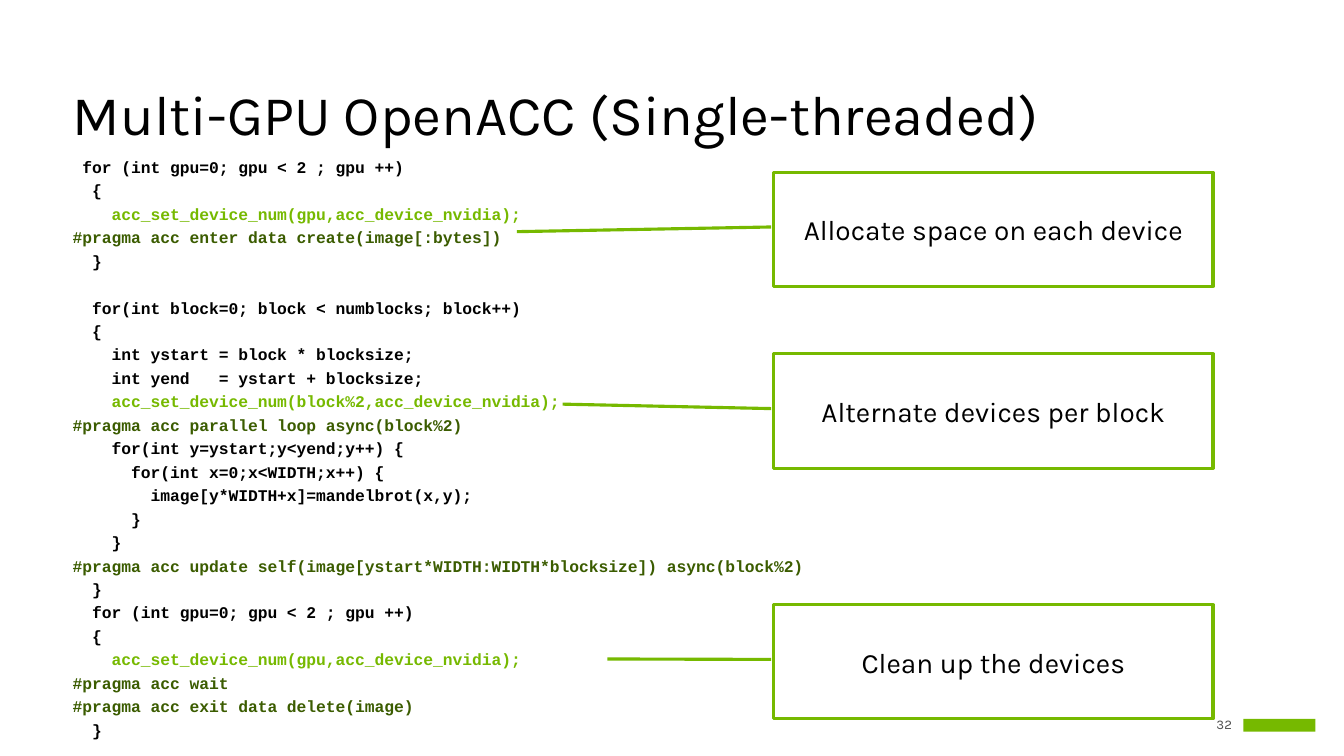
from dataclasses import dataclass

from pptx import Presentation
from pptx.dml.color import RGBColor
from pptx.enum.shapes import MSO_SHAPE
from pptx.enum.text import MSO_ANCHOR, MSO_AUTO_SIZE, PP_ALIGN
from pptx.util import Cm, Pt

LEFT, CENTER, RIGHT = PP_ALIGN.LEFT, PP_ALIGN.CENTER, PP_ALIGN.RIGHT
MIDDLE, BOTTOM = MSO_ANCHOR.MIDDLE, MSO_ANCHOR.BOTTOM
NO_AUTOFIT = MSO_AUTO_SIZE.NONE
CALLOUT, RECTANGLE = MSO_SHAPE.LINE_CALLOUT_1, MSO_SHAPE.RECTANGLE
TITLE_ONLY = 5


@dataclass(frozen=True)
class Theme:
    """Colours, fonts and type sizes of the slide."""

    black: RGBColor = RGBColor(0x00, 0x00, 0x00)
    white: RGBColor = RGBColor(0xFF, 0xFF, 0xFF)
    gray: RGBColor = RGBColor(0x50, 0x50, 0x50)
    green: RGBColor = RGBColor(0x76, 0xB9, 0x00)
    dark_green: RGBColor = RGBColor(0x3B, 0x5C, 0x00)
    sans: str = "Karla"
    mono: str = "Courier New"
    title_size: Pt = Pt(36)
    label_size: Pt = Pt(18)
    code_size: Pt = Pt(10.5)
    number_size: Pt = Pt(8.5)
    code_pitch: Pt = Pt(15.08)


THEME = Theme()

CODE = """\
 for (int gpu=0; gpu < 2 ; gpu ++)
  {
    acc_set_device_num(gpu,acc_device_nvidia);
#pragma acc enter data create(image[:bytes])
  }

  for(int block=0; block < numblocks; block++)
  {
    int ystart = block * blocksize;
    int yend   = ystart + blocksize;
    acc_set_device_num(block%2,acc_device_nvidia);
#pragma acc parallel loop async(block%2)
    for(int y=ystart;y<yend;y++) {
      for(int x=0;x<WIDTH;x++) {
        image[y*WIDTH+x]=mandelbrot(x,y);
      }
    }
#pragma acc update self(image[ystart*WIDTH:WIDTH*blocksize]) async(block%2)
  }
  for (int gpu=0; gpu < 2 ; gpu ++)
  {
    acc_set_device_num(gpu,acc_device_nvidia);
#pragma acc wait
#pragma acc exit data delete(image)
  }"""

CALLOUTS = [
    ("Allocate space on each device", 3.91, 0.52, -0.585),
    ("Alternate devices per block", 8.03, 0.44, -0.481),
    ("Clean up the devices", 13.72, 0.475, -0.379),
]


def apply_format(target, values):
    """Set each attribute named in a dict of format values."""
    for name, value in values.items():
        setattr(target, name, value)


def write_span(para, text, color, **font_format):
    """Add one run of text with its font and colour."""
    span = para.add_run()
    span.text = text
    apply_format(span.font, font_format)
    span.font.color.rgb = color


def add_title(page, text):
    """Place the title placeholder and write its text."""
    title = page.shapes.title
    apply_format(title, {"left": Cm(1.4), "top": Cm(1.83), "width": Cm(27.71), "height": Cm(1.65)})
    frame = title.text_frame
    apply_format(frame, {"auto_size": NO_AUTOFIT, "word_wrap": True, "vertical_anchor": BOTTOM})
    para = frame.paragraphs[0]
    apply_format(para, {"alignment": LEFT, "line_spacing": 0.9})
    write_span(para, text, THEME.black, name=THEME.sans, size=THEME.title_size)


def code_color(line):
    """Return the highlight colour of a line of code."""
    if line.startswith("#pragma"):
        return THEME.dark_green
    return THEME.green if "acc_set_device_num" in line else THEME.black


def add_code(page, code):
    """Write the code listing, with a spacing gap between its blocks."""
    box = page.shapes.add_textbox(Cm(1.4), Cm(3.35), Cm(25.43), Cm(13.67))
    frame = box.text_frame
    frame.word_wrap = True
    para = frame.paragraphs[0]
    for block_index, block in enumerate(code.split("\n\n")):
        for line_index, line in enumerate(block.split("\n")):
            if block_index or line_index:
                para = frame.add_paragraph()
            starts_block = block_index and not line_index
            gap = THEME.code_pitch if starts_block else Pt(0)
            apply_format(para, {"line_spacing": THEME.code_pitch, "space_before": gap})
            write_span(para, line, code_color(line), name=THEME.mono, size=THEME.code_size, bold=True)


def add_callout(page, text, top, tip_y, tip_x):
    """Add a bordered callout whose line reaches the code it explains."""
    box = page.shapes.add_shape(CALLOUT, Cm(17.55), Cm(top), Cm(9.96), Cm(2.59))
    for index, value in enumerate((0.479, -0.006, tip_y, tip_x)):
        box.adjustments[index] = value
    box.shadow.inherit = False
    box.fill.solid()
    box.fill.fore_color.rgb = THEME.white
    box.line.color.rgb = THEME.green
    box.line.width = Pt(2)
    apply_format(box.text_frame, {"word_wrap": True, "vertical_anchor": MIDDLE})
    para = box.text_frame.paragraphs[0]
    para.alignment = CENTER
    write_span(para, text, THEME.black, name=THEME.sans, size=THEME.label_size)


def add_footer(page, number):
    """Add the page number and a plain bar beside it."""
    box = page.shapes.add_textbox(Cm(27.13), Cm(16.21), Cm(0.81), Cm(0.46))
    margins = {f"margin_{side}": 0 for side in ("left", "top", "right", "bottom")}
    apply_format(box.text_frame, {"vertical_anchor": MIDDLE, "word_wrap": True, **margins})
    para = box.text_frame.paragraphs[0]
    para.alignment = RIGHT
    write_span(para, number, THEME.gray, name=THEME.sans, size=THEME.number_size)
    bar = page.shapes.add_shape(RECTANGLE, Cm(28.2), Cm(16.31), Cm(1.63), Cm(0.29))
    bar.shadow.inherit = False
    bar.fill.solid()
    bar.fill.fore_color.rgb = THEME.green
    bar.line.fill.background()


def main():
    """Build the slide and save the deck."""
    deck = Presentation()
    apply_format(deck, {"slide_width": Cm(30.48), "slide_height": Cm(17.15)})
    page = deck.slides.add_slide(deck.slide_layouts[TITLE_ONLY])
    add_footer(page, "32")
    add_title(page, "Multi-GPU OpenACC (Single-threaded)")
    add_code(page, CODE)
    for callout in CALLOUTS:
        add_callout(page, *callout)
    deck.save("out.pptx")


if __name__ == "__main__":
    main()
